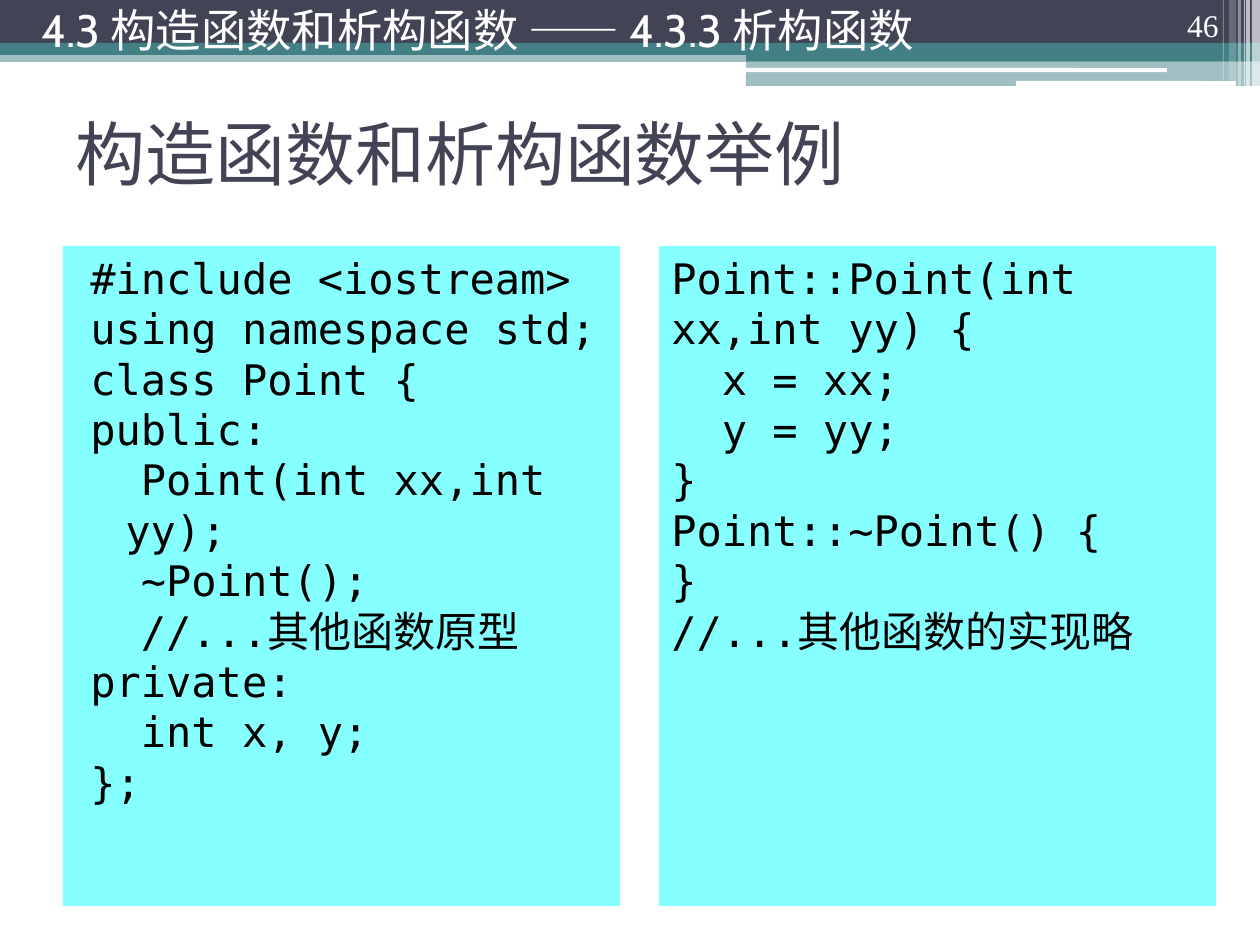
from lxml import etree
from pptx import Presentation
from pptx import util as u
from pptx.dml.color import RGBColor
from pptx.enum import shapes, text
from pptx.oxml.ns import qn

PX = 9144000 // 1260
COLORS = {"navy": "424456", "teal": "438086", "white": "FFFFFF",
          "cyan": "85FFFF", "black": "000000"}
RECT = shapes.MSO_SHAPE.RECTANGLE
ROUND = shapes.MSO_SHAPE.ROUNDED_RECTANGLE

BANDS = [
    (RECT, (0, 50, 1260, 12), "teal", 50),
    (RECT, (0, 0, 1260, 43), "navy", 100),
    (RECT, (0, 43, 1260, 12), "teal", 100),
    (RECT, (746, 49, 514, 12), "teal", 100),
    (RECT, (746, 61, 514, 25), "teal", 50),
    (ROUND, (745, 68, 422, 4), "white", 100),
    (ROUND, (1016, 81, 220, 5), "white", 100),
]
STRIPES = [(1252, 8, 86, 65), (1246, 4, 86, 65), (1244, 1, 86, 60),
           (1238, 3, 86, 40), (1229, 7, 81, 20), (1223, 1, 81, 30)]

TITLE = "构造函数和析构函数举例"
HEADER = "4.3 构造函数和析构函数 —— 4.3.3 析构函数"
PAGE = "46"
DECLARATION = [
    "#include <iostream>",
    "using namespace std;",
    "class Point {",
    "public:",
    "  Point(int xx,int yy);",
    "  ~Point();",
    "  //...其他函数原型",
    "private:",
    "  int x, y;",
    "};",
]
IMPLEMENTATION = [
    "Point::Point(int xx,int yy) {",
    "  x = xx;",
    "  y = yy;",
    "}",
    "Point::~Point() {",
    "}",
    "//...其他函数的实现略",
]


def rgb(name):
    return RGBColor.from_string(COLORS[name])


def emu(box):
    return [value * PX for value in box]


def add_band(slide, kind, box, color, opacity):
    shape = slide.shapes.add_shape(kind, *emu(box))
    shape.shadow.inherit = False
    shape.line.fill.background()
    shape.fill.solid()
    shape.fill.fore_color.rgb = rgb(color)
    if opacity < 100:
        fill_color = shape.fill._xPr.find(qn("a:solidFill"))[0]
        etree.SubElement(fill_color, qn("a:alpha"), val=str(opacity * 1000))


def write(shape, lines, size, font, color, anchor, align=text.PP_ALIGN.LEFT):
    frame = shape.text_frame
    frame.word_wrap = True
    frame.auto_size = text.MSO_AUTO_SIZE.NONE
    frame.vertical_anchor = anchor
    for number, line in enumerate(lines):
        paragraph = frame.add_paragraph() if number else frame.paragraphs[0]
        paragraph.alignment = align
        run = paragraph.add_run()
        run.text = line
        run.font.size = u.Pt(size)
        run.font.name = font
        run.font.color.rgb = rgb(color)
    return frame.paragraphs


def add_code(slide, left, lines, margin=0, indent=0):
    shape = slide.shapes.add_textbox(*emu((left, 246, 557, 660)))
    shape.fill.solid()
    shape.fill.fore_color.rgb = rgb("cyan")
    for paragraph in write(shape, lines, 24, "DejaVu Sans Mono", "black",
                           text.MSO_ANCHOR.TOP):
        paragraph.line_spacing = u.Pt(28.8)
        properties = paragraph._p.get_or_add_pPr()
        properties.set("marL", str(margin * PX))
        properties.set("indent", str(indent * PX))


def main():
    presentation = Presentation()
    presentation.slide_width, presentation.slide_height = emu((1260, 945))
    slide = presentation.slides.add_slide(presentation.slide_layouts[5])

    for band in BANDS:
        add_band(slide, *band)
    for left, width, height, opacity in STRIPES:
        add_band(slide, RECT, (left, 0, width, height), "white", opacity)

    title = slide.shapes.title
    title.left, title.top, title.width, title.height = emu((63, 79, 1134, 147))
    write(title, [TITLE], 40, "Cabin", "navy", text.MSO_ANCHOR.MIDDLE)

    add_code(slide, 63, DECLARATION, margin=50, indent=-35)
    page = slide.shapes.add_textbox(*emu((1126, 0, 105, 50)))
    write(page, [PAGE], 18, "Times New Roman", "white",
          text.MSO_ANCHOR.BOTTOM, text.PP_ALIGN.RIGHT)
    header = slide.shapes.add_textbox(*emu((29, 0, 1063, 59)))
    write(header, [HEADER], 25.9, "Cabin", "white", text.MSO_ANCHOR.MIDDLE)
    add_code(slide, 659, IMPLEMENTATION)

    presentation.save("out.pptx")


if __name__ == "__main__":
    main()
